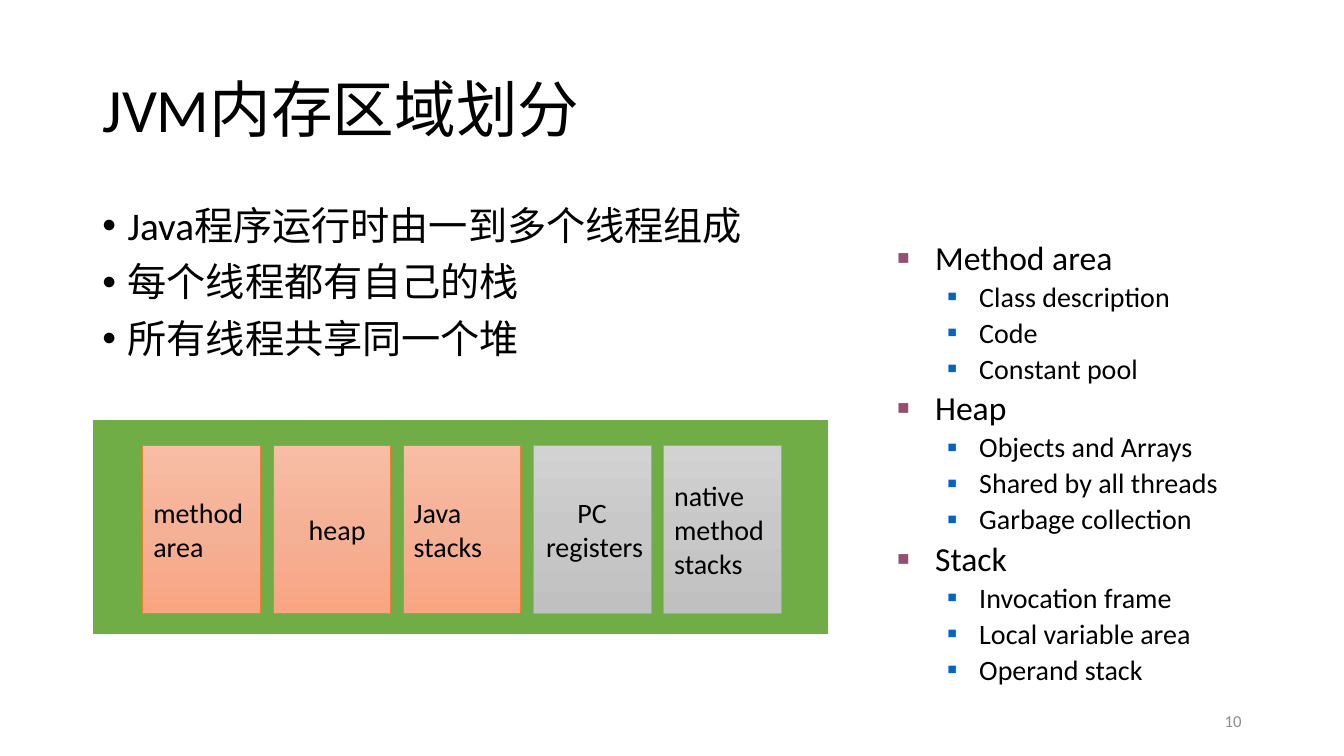
from dataclasses import dataclass

from lxml.etree import SubElement
from pptx import Presentation
from pptx.dml.color import RGBColor
from pptx.enum.shapes import MSO_SHAPE
from pptx.enum.text import MSO_ANCHOR, MSO_AUTO_SIZE, PP_ALIGN
from pptx.oxml.ns import qn
from pptx.shapes.autoshape import Shape
from pptx.slide import Slide
from pptx.text.text import TextFrame, _Paragraph
from pptx.util import Emu, Pt

EMU_PER_PX = 9525
FONT = "Calibri"
COLOURS = {
    "text": "000000",
    "page_number": "8C8C8C",
    "white": "FFFFFF",
    "memory": "70AD47",
    "topic_bullet": "954F72",
    "detail_bullet": "0563C1",
}
BOX_LEFT, BOX_TOP, BOX_WIDTH, BOX_HEIGHT, BOX_PITCH = 136, 424, 112, 160, 124


@dataclass(frozen=True)
class BoxStyle:
    gradient: tuple[str, str, str]
    line: str


@dataclass(frozen=True)
class Area:
    lines: tuple[str, ...]
    style: BoxStyle
    indents: tuple[int, ...] = (0,)
    side_inset: int = 10


@dataclass(frozen=True)
class ListStyle:
    size: int
    indent: int
    hanging: int
    bullet: str
    bullet_colour: str
    bullet_percent: int = 100
    level: int = 0
    space_before: int | None = None


ORANGE = BoxStyle(("F7BDA5", "F5B196", "F8A582"), "ED7D31")
GREY = BoxStyle(("D2D2D2", "C8C8C8", "C0C0C0"), "A5A5A5")
AREAS = (
    Area(("method area",), ORANGE),
    Area(("heap",), ORANGE, indents=(24,)),
    Area(("Java stacks",), ORANGE),
    Area(("PC", "registers"), GREY, indents=(42, 12), side_inset=0),
    Area(("native method stacks",), GREY),
)

POINT = ListStyle(28, 24, 24, "•", COLOURS["text"], space_before=10)
TOPIC = ListStyle(24, 36, 36, "■", COLOURS["topic_bullet"], 60)
DETAIL = ListStyle(20, 78, 30, "■", COLOURS["detail_bullet"], 55, level=1)
POINTS = ("Java程序运行时由一到多个线程组成", "每个线程都有自己的栈", "所有线程共享同一个堆")
TOPICS = {
    "Method area": ("Class description", "Code", "Constant pool"),
    "Heap": ("Objects and Arrays", "Shared by all threads", "Garbage collection"),
    "Stack": ("Invocation frame", "Local variable area", "Operand stack"),
}


def px(length: int) -> Emu:
    return Emu(length * EMU_PER_PX)


def place(shape: Shape, left: int, top: int, width: int, height: int) -> None:
    shape.left, shape.top = px(left), px(top)
    shape.width, shape.height = px(width), px(height)


def format_runs(paragraph: _Paragraph, size: int, colour: str = COLOURS["text"]) -> None:
    for run in paragraph.runs:
        run.font.name = FONT
        run.font.size = Pt(size)
        run.font.color.rgb = RGBColor.from_string(colour)


def set_indent(paragraph: _Paragraph, indent: int, hanging: int = 0) -> None:
    properties = paragraph._p.get_or_add_pPr()
    properties.set("marL", str(px(indent)))
    properties.set("indent", str(px(-hanging)))


def set_bullet(paragraph: _Paragraph, style: ListStyle) -> None:
    properties = paragraph._p.get_or_add_pPr()
    colour = SubElement(properties, qn("a:buClr"))
    SubElement(colour, qn("a:srgbClr"), val=style.bullet_colour)
    SubElement(properties, qn("a:buSzPct"), val=str(style.bullet_percent * 1000))
    SubElement(properties, qn("a:buFont"), typeface="Arial")
    SubElement(properties, qn("a:buChar"), char=style.bullet)


def fill_list(text_frame: TextFrame, items: list[tuple[str, ListStyle]]) -> None:
    text_frame.auto_size = MSO_AUTO_SIZE.NONE
    text_frame.text = "\n".join(text for text, _ in items)
    for paragraph, (_, style) in zip(text_frame.paragraphs, items):
        paragraph.level = style.level
        paragraph.line_spacing = 0.9
        if style.space_before is not None:
            paragraph.space_before = Pt(style.space_before)
        set_indent(paragraph, style.indent, style.hanging)
        set_bullet(paragraph, style)
        format_runs(paragraph, style.size)


def add_rectangle(slide: Slide, left: int, top: int, width: int, height: int,
                  line: str, line_width: float) -> Shape:
    shape = slide.shapes.add_shape(
        MSO_SHAPE.RECTANGLE, px(left), px(top), px(width), px(height))
    shape.shadow.inherit = False
    shape.line.color.rgb = RGBColor.from_string(line)
    shape.line.width = Pt(line_width)
    return shape


def set_gradient(shape: Shape, colours: tuple[str, str, str]) -> None:
    """Fill the shape from top to bottom with evenly spaced colours."""
    shape.fill.gradient()
    shape.fill.gradient_angle = 270
    stops = shape._element.spPr.find(qn("a:gradFill")).find(qn("a:gsLst"))
    stops.clear()
    for index, colour in enumerate(colours):
        stop = SubElement(stops, qn("a:gs"), pos=str(index * 50000))
        SubElement(stop, qn("a:srgbClr"), val=colour)


def add_area(slide: Slide, index: int, area: Area) -> None:
    box = add_rectangle(slide, BOX_LEFT + index * BOX_PITCH, BOX_TOP,
                        BOX_WIDTH, BOX_HEIGHT, area.style.line, 0.5)
    set_gradient(box, area.style.gradient)
    text_frame = box.text_frame
    text_frame.word_wrap = True
    text_frame.vertical_anchor = MSO_ANCHOR.MIDDLE
    text_frame.margin_left = text_frame.margin_right = px(area.side_inset)
    text_frame.text = "\n".join(area.lines)
    for paragraph, indent in zip(text_frame.paragraphs, area.indents):
        paragraph.alignment = PP_ALIGN.LEFT
        set_indent(paragraph, indent)
        format_runs(paragraph, 20)


def add_title(slide: Slide) -> None:
    title = slide.shapes.title
    place(title, 88, 38, 1104, 139)
    text_frame = title.text_frame
    text_frame.auto_size = MSO_AUTO_SIZE.NONE
    text_frame.vertical_anchor = MSO_ANCHOR.MIDDLE
    text_frame.text = "JVM内存区域划分"
    paragraph = text_frame.paragraphs[0]
    paragraph.alignment = PP_ALIGN.LEFT
    paragraph.line_spacing = 0.9
    format_runs(paragraph, 44)


def add_page_number(slide: Slide) -> None:
    text_frame = slide.shapes.add_textbox(px(904), px(667), px(288), px(38)).text_frame
    text_frame.word_wrap = True
    text_frame.vertical_anchor = MSO_ANCHOR.MIDDLE
    text_frame.text = "10"
    paragraph = text_frame.paragraphs[0]
    paragraph.alignment = PP_ALIGN.RIGHT
    format_runs(paragraph, 12, COLOURS["page_number"])


def main() -> None:
    presentation = Presentation()
    presentation.slide_width, presentation.slide_height = px(1280), px(720)
    slide = presentation.slides.add_slide(presentation.slide_layouts[3])
    add_title(slide)

    points, topics = slide.placeholders[1], slide.placeholders[2]
    place(points, 88, 192, 1104, 457)
    fill_list(points.text_frame, [(text, POINT) for text in POINTS])
    place(topics, 845, 225, 364, 448)
    topic_items = []
    for topic, details in TOPICS.items():
        topic_items.append((topic, TOPIC))
        topic_items.extend((detail, DETAIL) for detail in details)
    fill_list(topics.text_frame, topic_items)

    memory = add_rectangle(slide, 88, 399, 702, 206, COLOURS["white"], 1.5)
    memory.fill.solid()
    memory.fill.fore_color.rgb = RGBColor.from_string(COLOURS["memory"])
    for index, area in enumerate(AREAS):
        add_area(slide, index, area)
    add_page_number(slide)
    presentation.save("out.pptx")


if __name__ == "__main__":
    main()
